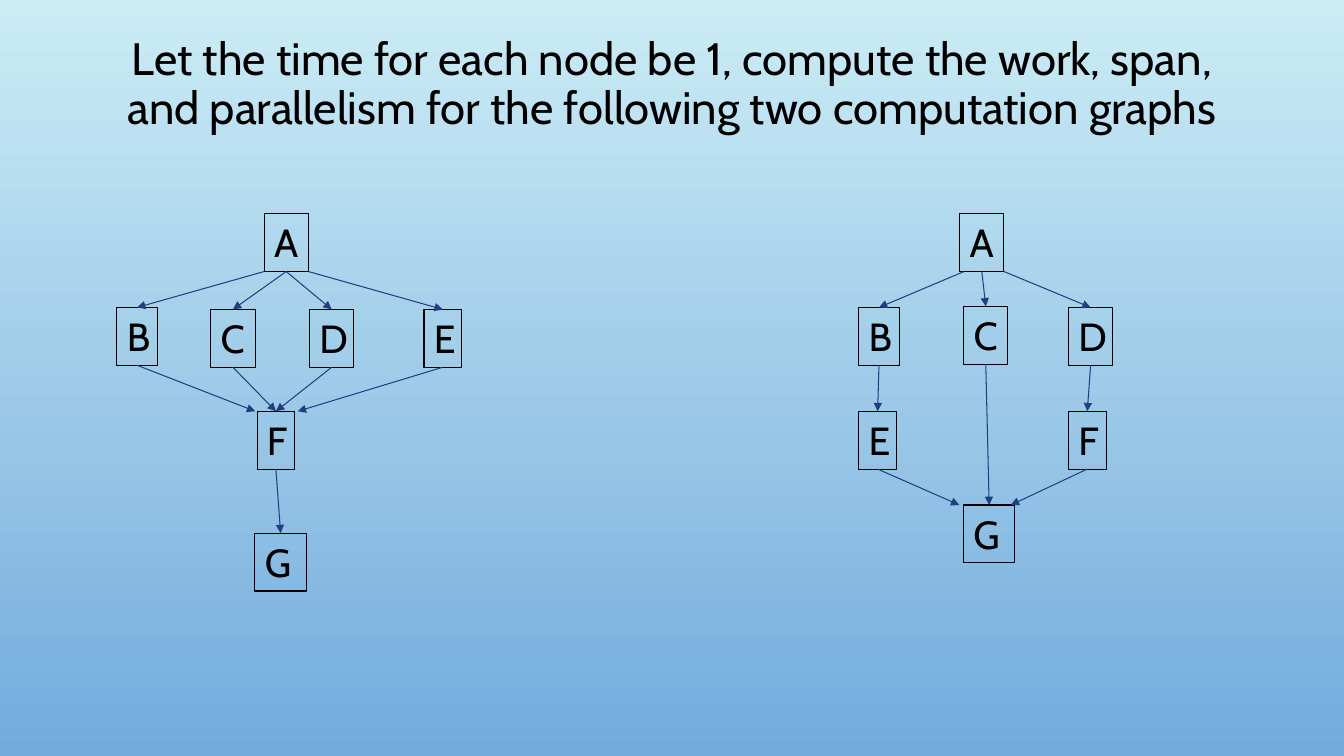
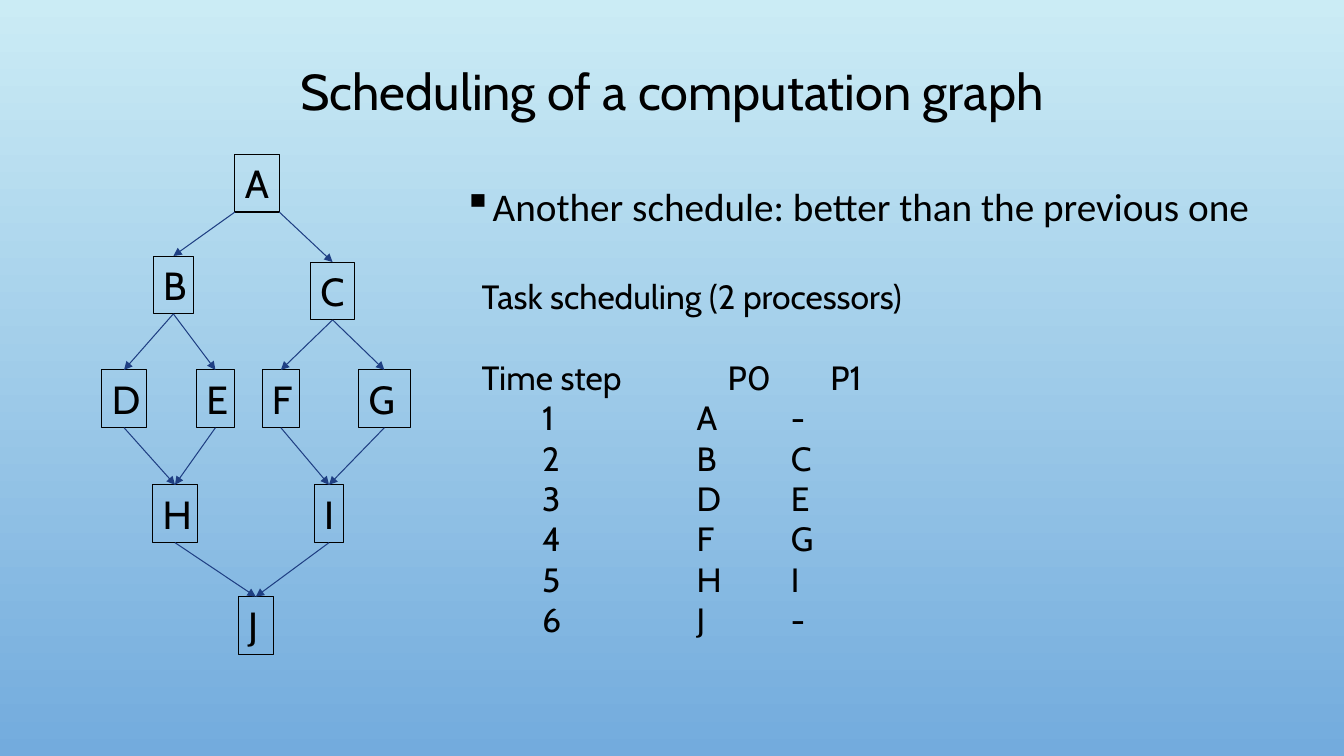
import pptx
import pptx.dml.color
import pptx.enum.shapes
import pptx.enum.text
import pptx.oxml.ns
import pptx.util
from lxml import etree

SLIDE_WIDTH = pptx.util.Inches(13.33)
SLIDE_HEIGHT = pptx.util.Inches(7.5)
COLORS = {"sky": "CBECF5", "horizon": "73ABDD", "ink": "000000", "edge": "1F3F83"}
HEADING_FONT = "Cabin"
BODY_FONT = "Calibri"
LINE_WIDTH = pptx.util.Pt(0.75)

# Node sizes in columns and rows; the width follows the letter.
NODE_HEIGHT = 7.65
NODE_WIDTHS = {"A": 3.3, "B": 3, "C": 3.3, "D": 3.3, "E": 2.8,
               "F": 2.8, "G": 3.83, "H": 3.3, "I": 2.2, "J": 2.6}

# Nodes: letter -> (centre column, top row).
# Edges: letter pair, then start and end as shares of the node widths.
FAN_NODES = {"A": (21.3, 28.27), "B": (10.2, 40.67), "C": (17.33, 40.93),
             "D": (24.68, 40.93), "E": (32.95, 40.93), "F": (20.53, 54.4),
             "G": (20.88, 70.53)}
FAN_EDGES = [("AB", 0, 0.5), ("AC", 0.5, 0.5), ("AD", 0.5, 0.5), ("AE", 1, 0.5),
             ("BF", 0.5, -0.05), ("CF", 0.5, 0.5), ("DF", 0.5, 0.5),
             ("EF", 0.5, 1.08), ("FG", 0.5, 0.5)]
CHAIN_NODES = {"A": (73.05, 28.27), "B": (65.4, 40.67), "C": (73.35, 40.53),
               "D": (81.15, 40.67), "E": (65.3, 54.4), "F": (80.9, 54.4),
               "G": (73.6, 66.8)}
CHAIN_EDGES = [("AB", 0.1, 0.5), ("AD", 1, 0.5), ("AC", 0.5, 0.5),
               ("BE", 0.5, 0.5), ("DF", 0.5, 0.5), ("CG", 0.5, 0.5),
               ("EG", 0.5, -0.08), ("FG", 0.5, 0.92)]
TASK_NODES = {"A": (19.13, 20.4), "B": (12.9, 33.87), "C": (24.75, 34.67),
              "D": (9.23, 48.93), "E": (16.03, 48.93), "F": (20.9, 48.93),
              "G": (28.6, 48.93), "H": (13.02, 64.13), "I": (24.48, 64.13),
              "J": (19.03, 78.93)}
TASK_EDGES = [("AB", 0, 0.5), ("AC", 1, 0.5)] + [
    (pair, 0.5, 0.5)
    for pair in ("BD", "BE", "CF", "CG", "DH", "EH", "FI", "GI", "HJ", "IJ")]

SCHEDULE = ["A-", "BC", "DE", "FG", "HI", "J-"]
HEADER_TABS = [18.3, 25.95]
STEP_TABS = [4.5, 16, 23]


def columns(count):
    """Hundredths of the slide width."""
    return round(SLIDE_WIDTH * count / 100)


def rows(count):
    """Hundredths of the slide height."""
    return round(SLIDE_HEIGHT * count / 100)


def rgb(name):
    return pptx.dml.color.RGBColor.from_string(COLORS[name])


def add_element(parent, tag, **attributes):
    element = etree.SubElement(parent, pptx.oxml.ns.qn(tag))
    for key, value in attributes.items():
        element.set(key, str(value))
    return element


def add_box(slide, left, top, width, height, wrap=True):
    box = slide.shapes.add_textbox(columns(left), rows(top), columns(width), rows(height))
    box.text_frame.word_wrap = wrap
    return box


def add_span(para, text, size, font=HEADING_FONT):
    span = para.add_run()
    span.text = text
    span.font.size = pptx.util.Pt(size)
    span.font.name = font
    span.font.color.rgb = rgb("ink")


def add_title(slide, text, size, height):
    frame = add_box(slide, 7.5, 4.27, 85, height).text_frame
    frame.vertical_anchor = pptx.enum.text.MSO_ANCHOR.MIDDLE
    para = frame.paragraphs[0]
    para.alignment = pptx.enum.text.PP_ALIGN.CENTER
    para.line_spacing = 0.9
    add_span(para, text, size)


def add_node(slide, letter, center, top):
    width = NODE_WIDTHS[letter]
    box = add_box(slide, center - width / 2, top, width, NODE_HEIGHT, wrap=False)
    box.text_frame.auto_size = pptx.enum.text.MSO_AUTO_SIZE.SHAPE_TO_FIT_TEXT
    box.line.color.rgb = rgb("ink")
    box.line.width = LINE_WIDTH
    add_span(box.text_frame.paragraphs[0], letter, 28)
    return box


def add_arrow(slide, source, target, start, end):
    """Run from the source's bottom to the target's top, glued where centred."""
    arrow = slide.shapes.add_connector(
        pptx.enum.shapes.MSO_CONNECTOR.STRAIGHT,
        round(source.left + start * source.width), source.top + source.height,
        round(target.left + end * target.width), target.top)
    if start == 0.5:
        arrow.begin_connect(source, 2)
    if end == 0.5:
        arrow.end_connect(target, 0)
    arrow.line.color.rgb = rgb("edge")
    arrow.line.width = LINE_WIDTH
    add_element(arrow.line._get_or_add_ln(), "a:tailEnd", type="triangle")
    add_element(arrow._element.spPr, "a:effectLst")


def add_graph(slide, nodes, edges):
    boxes = {letter: add_node(slide, letter, *place) for letter, place in nodes.items()}
    for (source, target), start, end in edges:
        add_arrow(slide, boxes[source], boxes[target], start, end)


def add_bullet(slide, text):
    para = add_box(slide, 33.75, 22.8, 62.4, 8.67).text_frame.paragraphs[0]
    properties = para._p.get_or_add_pPr()
    indent = pptx.util.Inches(0.25)
    properties.set("marL", str(indent))
    properties.set("indent", str(-indent))
    add_element(add_element(properties, "a:buClr"), "a:srgbClr", val=COLORS["ink"])
    add_element(properties, "a:buChar", char="▪")
    para.line_spacing = 1.1
    add_span(para, text, 28, BODY_FONT)


def add_tabbed_line(frame, cells, stops):
    para = frame.add_paragraph()
    tabs = add_element(para._p.get_or_add_pPr(), "a:tabLst")
    for stop in stops:
        add_element(tabs, "a:tab", pos=columns(stop), algn="l")
    add_span(para, "\t".join(cells), 24)
    return para


def add_schedule(slide):
    frame = add_box(slide, 35.1, 35.87, 50, 49.87).text_frame
    add_span(frame.paragraphs[0], "Task scheduling (2 processors)", 24)
    header = add_tabbed_line(frame, ["Time step", "P0", "P1"], HEADER_TABS)
    header.space_before = pptx.util.Pt(29)
    for step, tasks in enumerate(SCHEDULE, 1):
        add_tabbed_line(frame, ["", str(step), *tasks], STEP_TABS)


def paint_background(master):
    fill = master.background.fill
    fill.gradient()
    fill.gradient_angle = 270
    for stop, position, name in zip(fill.gradient_stops, (0, 1), ("sky", "horizon")):
        stop.position = position
        stop.color.rgb = rgb(name)


def main():
    deck = pptx.Presentation()
    deck.slide_width = SLIDE_WIDTH
    deck.slide_height = SLIDE_HEIGHT
    paint_background(deck.slide_master)
    blank = deck.slide_layouts[6]

    exercise = deck.slides.add_slide(blank)
    add_title(exercise, "Let the time for each node be 1, compute the work, span, "
              "and parallelism for the following two computation graphs", 32.4, 14)
    add_graph(exercise, FAN_NODES, FAN_EDGES)
    add_graph(exercise, CHAIN_NODES, CHAIN_EDGES)

    scheduling = deck.slides.add_slide(blank)
    add_title(scheduling, "Scheduling of a computation graph", 36, 16.4)
    add_bullet(scheduling, "Another schedule: better than the previous one")
    add_graph(scheduling, TASK_NODES, TASK_EDGES)
    add_schedule(scheduling)
    deck.save("out.pptx")


if __name__ == "__main__":
    main()
